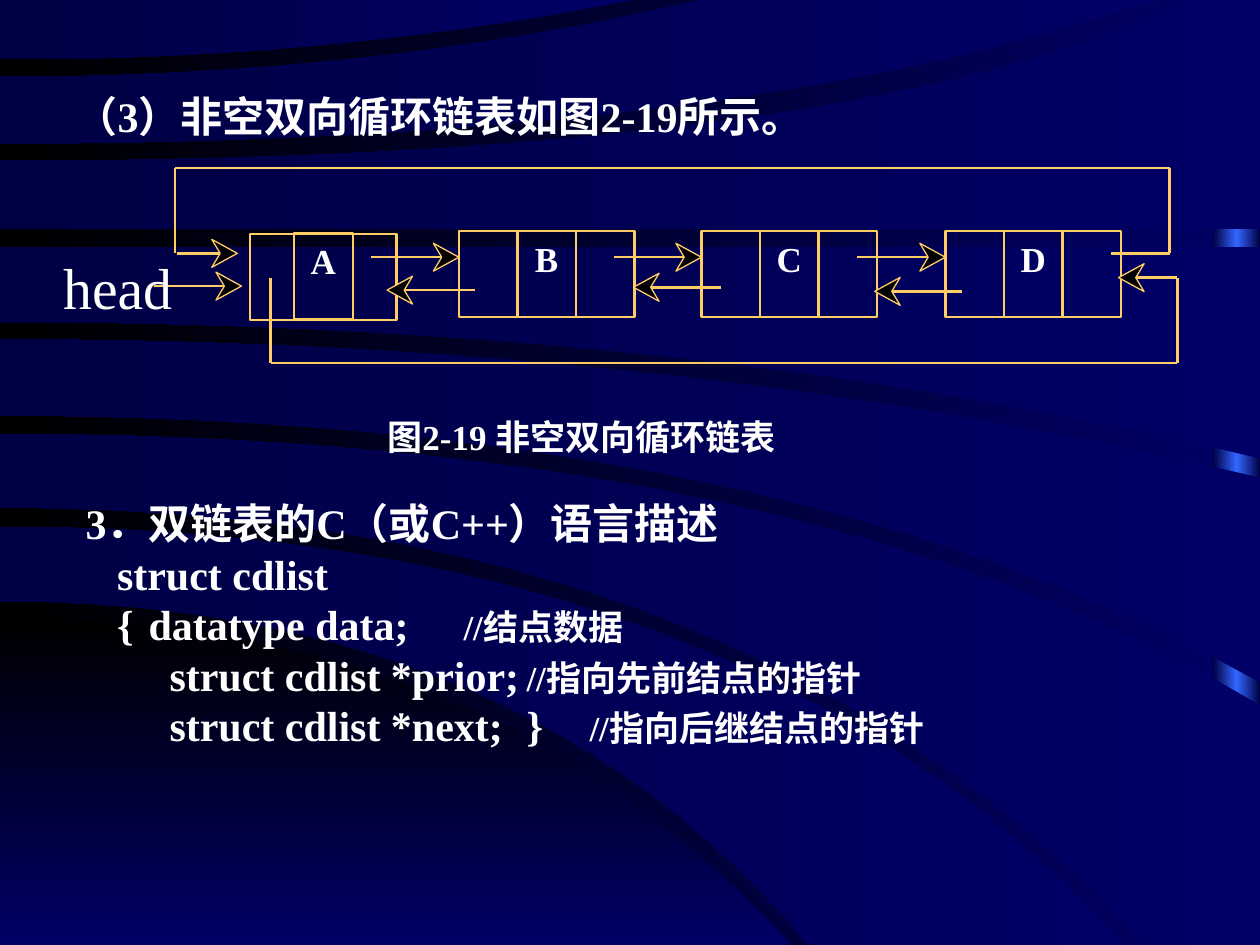
from copy import deepcopy
from dataclasses import dataclass

from lxml import etree
from pptx import Presentation
from pptx.dml.color import RGBColor
from pptx.enum.shapes import MSO_CONNECTOR, MSO_SHAPE
from pptx.enum.text import MSO_ANCHOR, MSO_AUTO_SIZE, PP_ALIGN
from pptx.oxml.ns import qn
from pptx.util import Pt

RECTANGLE, STRAIGHT = MSO_SHAPE.RECTANGLE, MSO_CONNECTOR.STRAIGHT
LEFT, CENTER, TOP = PP_ALIGN.LEFT, PP_ALIGN.CENTER, MSO_ANCHOR.TOP


@dataclass
class Theme:
    font: str = "Times New Roman"
    text: str = "FFFFFF"
    line: str = "FFCC66"
    black: str = "000000"
    navy: str = "000066"
    dark: str = "000044"
    glow: str = "3366FF"
    heading: int = 24
    label: int = 20
    pointer: int = 33
    line_width: float = 1.39
    arrow_width: float = 0.75


THEME = Theme()
WIDTH, HEIGHT = 720, 540

# Content
TITLE = "（3）非空双向循环链表如图2-19所示。"
# (first-line indent, tab stops, space before, [(text, size)])
BODY = [
    (172.5, [], 0, [("图2-19 非空双向循环链表", THEME.label)]),
    (0, [], 23, [("3．双链表的C（或C++）语言描述", THEME.heading)]),
    (18, [], 0, [("struct cdlist", THEME.heading)]),
    (18, [45, 288], 0, [("{\tdatatype data;\t", THEME.heading), ("//结点数据", THEME.label)]),
    (48, [288], 0, [("struct cdlist *prior;\t", THEME.heading), ("//指向先前结点的指针", THEME.label)]),
    (48, [251, 288], 0, [("struct cdlist *next;\t}\t", THEME.heading), ("//指向后继结点的指针", THEME.label)]),
]
NODES = [("B", 262.2), ("C", 400.8), ("D", 540.2)]
NODE_TOP, NODE_HEIGHT, NODE_WIDTH = 132, 49.2, 100.4
NODE_A = [("", 142.8, 133.7, 83.8), ("A", 167.9, 133.2, 33.8)]

# Arrows are (tail x, tip x, y); links between nodes have one length
LINK, NEXT_Y = 50.2, 147
PRIOR_TIPS = [(221.2, 165.8), (362, 164.2), (499.8, 166.5)]
RING_TOP, RING_BOTTOM, RING_IN, RING_OUT = 96, 207.3, 144.8, 158.7
ARROWS = [(left - LINK, left, NEXT_Y) for _, left in NODES]
ARROWS += [(tip + LINK, tip, y) for tip, y in PRIOR_TIPS]
ARROWS += [(101, 135.6, RING_IN), (87.8, 138, 163.5), (672.8, 639.2, RING_OUT)]
# Links that close the ring
RING = [
    [(634.8, RING_IN), (668.4, RING_IN), (668.4, RING_TOP), (100, RING_TOP), (100, RING_IN)],
    [(154.6, RING_OUT), (154.6, RING_BOTTOM), (672.8, RING_BOTTOM), (672.8, RING_OUT)],
]

# Band edges: height at the left side, bend x, end x, end y
FLOOR = [(353.5, 285, 452, HEIGHT), (HEIGHT, 226, 452, HEIGHT)]
BANDS = [
    [(301, 427, 643, HEIGHT), (343.5, 299, 462, HEIGHT)],
    [(248, 460, WIDTH, 403), (290, 428, 654, HEIGHT)],
    [(194, 390, WIDTH, 273), (237.5, 448, WIDTH, 390)],
    [(141, 360, WIDTH, 141), (184, 400, WIDTH, 262)],
    [(92, 490, 679, 0), (131, 360, WIDTH, 131)],
    [(44, 215, 400, 0), (82, 423, 660, 0)],
    [(0, 180, 361, 0), (34, 190, 361, 0)],
]
CURVE_STEPS = 24


def color(value):
    return RGBColor.from_string(value)


def fill_gradient(fill, element, colors, angle):
    fill.gradient()
    stop_list = next(element.iter(qn("a:gsLst")))
    while len(stop_list) < len(colors):
        stop_list.append(deepcopy(stop_list[-1]))
    for index, (stop, value) in enumerate(zip(fill.gradient_stops, colors)):
        stop.position = index / (len(colors) - 1)
        stop.color.rgb = color(value)
    fill.gradient_angle = angle


def curve(start_y, bend_x, end_x, end_y):
    """Points of a quadratic curve that leaves the left side level."""
    steps = [step / CURVE_STEPS for step in range(CURVE_STEPS + 1)]
    return [(2 * t * (1 - t) * bend_x + t * t * end_x,
             start_y + t * t * (end_y - start_y)) for t in steps]


def add_outline(shapes, points):
    builder = shapes.build_freeform(Pt(points[0][0]), Pt(points[0][1]))
    builder.add_line_segments([(Pt(x), Pt(y)) for x, y in points[1:]], close=True)
    shape = builder.convert_to_shape()
    shape.shadow.inherit = False
    return shape


def add_band(shapes, edges):
    upper, lower = (curve(*edge) for edge in edges)
    near, far = sorted([upper[-1], lower[-1]])
    return add_outline(shapes, upper + [(far[0], near[1])] + lower[::-1])


def set_line(line, width):
    line.color.rgb = color(THEME.line)
    line.width = Pt(width)


def add_line(shapes, start, end):
    connector = shapes.add_connector(STRAIGHT, *(Pt(value) for value in (*start, *end)))
    set_line(connector.line, THEME.line_width)
    etree.SubElement(connector._element.spPr, qn("a:effectLst"))


def add_arrow(shapes, tail, tip, y):
    back = -1 if tip > tail else 1
    notch, wing = tip + back * 9.8, tip + back * 14.6
    add_line(shapes, (tail, y), (notch, y))
    head = add_outline(shapes, [(wing, y + 8), (tip, y), (wing, y - 8), (notch, y)])
    head.fill.solid()
    head.fill.fore_color.rgb = color(THEME.black)
    set_line(head.line, THEME.arrow_width)


def add_box(shapes, label, left, top, width):
    box = shapes.add_shape(RECTANGLE, Pt(left), Pt(top), Pt(width), Pt(NODE_HEIGHT))
    box.shadow.inherit = False
    box.fill.background()
    set_line(box.line, THEME.line_width)
    if label:
        box.text_frame.text = label
        box.text_frame.vertical_anchor = TOP
        format_paragraph(box.text_frame.paragraphs[0], THEME.label, CENTER)


def format_run(run, size, bold=True):
    run.font.name, run.font.size, run.font.bold = THEME.font, Pt(size), bold
    run.font.color.rgb = color(THEME.text)


def format_paragraph(paragraph, size, alignment, bold=True):
    paragraph.alignment = alignment
    for run in paragraph.runs:
        format_run(run, size, bold)


def set_indent(paragraph, indent, stops):
    properties = paragraph._p.get_or_add_pPr()
    properties.set("marL", "0")
    properties.set("indent", str(Pt(indent)))
    if stops:
        tab_list = etree.SubElement(properties, qn("a:tabLst"))
        for stop in stops:
            etree.SubElement(tab_list, qn("a:tab"), pos=str(Pt(stop)), algn="l")


def add_background(slide):
    fill_gradient(slide.background.fill, slide.element, [THEME.navy, THEME.black], 180)
    strip = slide.shapes.add_shape(RECTANGLE, Pt(693.4), 0, Pt(26.6), Pt(HEIGHT))
    strip.shadow.inherit = False
    styles = [(strip, [THEME.dark, THEME.glow, THEME.dark], 180),
              (add_band(slide.shapes, FLOOR), [THEME.black, THEME.navy], 270)]
    styles += [(add_band(slide.shapes, band), [THEME.navy, THEME.dark], 180) for band in BANDS]
    for shape, colors, angle in styles:
        fill_gradient(shape.fill, shape._element, colors, angle)
        shape.line.fill.background()


def add_diagram(shapes):
    for node in NODE_A:
        add_box(shapes, *node)
    for label, left in NODES:
        add_box(shapes, label, left, NODE_TOP, NODE_WIDTH)
        for part in (1, 2):
            x = left + part * NODE_WIDTH / 3
            add_line(shapes, (x, NODE_TOP), (x, NODE_TOP + NODE_HEIGHT))
    for arrow in ARROWS:
        add_arrow(shapes, *arrow)
    for route in RING:
        for start, end in zip(route, route[1:]):
            add_line(shapes, start, end)
    pointer = shapes.add_textbox(Pt(36), Pt(144), Pt(62.6), Pt(39.6)).text_frame
    pointer.margin_left = pointer.margin_right = pointer.margin_top = pointer.margin_bottom = 0
    pointer.word_wrap = False
    pointer.text = "head"
    format_paragraph(pointer.paragraphs[0], THEME.pointer, CENTER, bold=False)


def add_text(shapes):
    # Title, moved in front of the background
    title = shapes.title
    title.left, title.top, title.width, title.height = Pt(36), Pt(48), Pt(552), Pt(36)
    frame = title.text_frame
    frame.text = TITLE
    frame.vertical_anchor = TOP
    frame.auto_size = MSO_AUTO_SIZE.NONE
    frame.paragraphs[0].space_before = Pt(9)
    format_paragraph(frame.paragraphs[0], THEME.heading, LEFT)
    shapes._spTree.append(title._element)

    # Caption and code
    frame = shapes.add_textbox(Pt(41.8), Pt(234), Pt(642), Pt(236)).text_frame
    frame.word_wrap = True
    for index, (indent, stops, before, pieces) in enumerate(BODY):
        paragraph = frame.add_paragraph() if index else frame.paragraphs[0]
        paragraph.space_before = Pt(before)
        set_indent(paragraph, indent, stops)
        for text, size in pieces:
            run = paragraph.add_run()
            run.text = text
            format_run(run, size)


presentation = Presentation()
presentation.slide_width, presentation.slide_height = Pt(WIDTH), Pt(HEIGHT)
slide = presentation.slides.add_slide(presentation.slide_layouts[5])
add_background(slide)
add_diagram(slide.shapes)
add_text(slide.shapes)
presentation.save("out.pptx")
